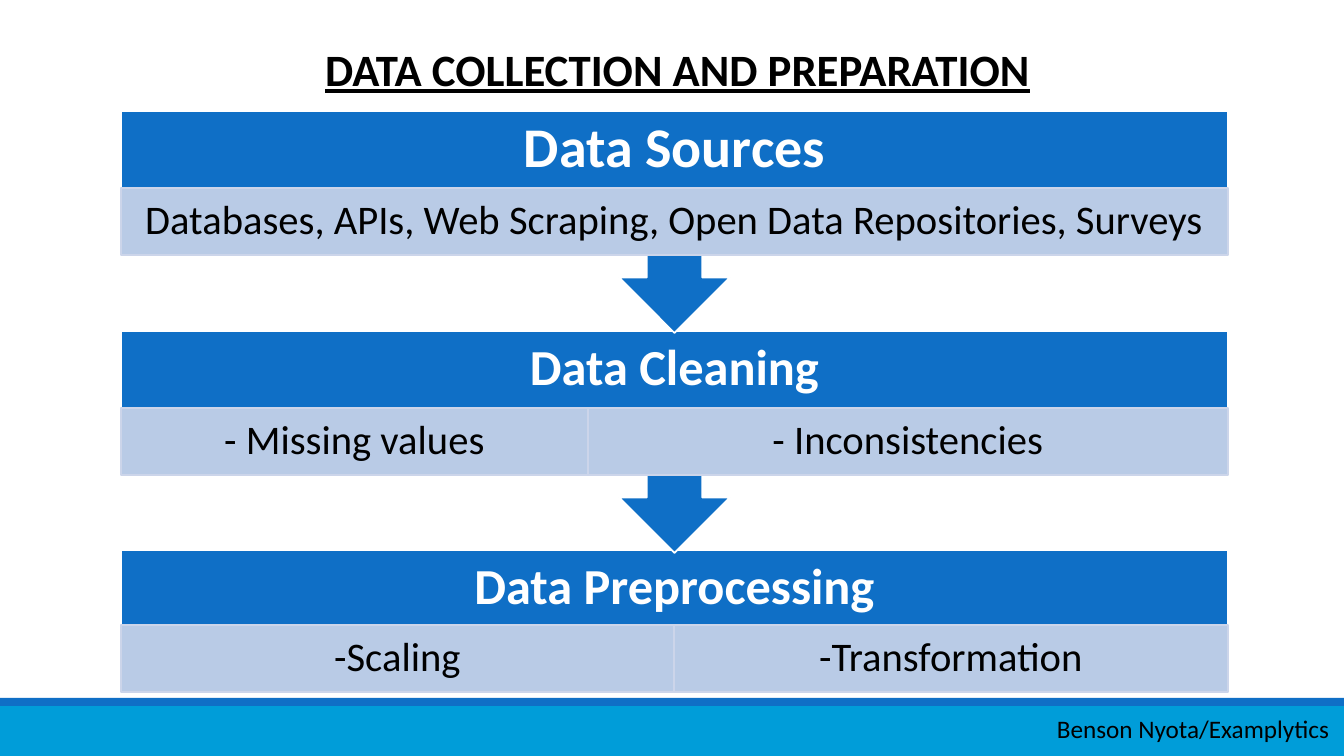
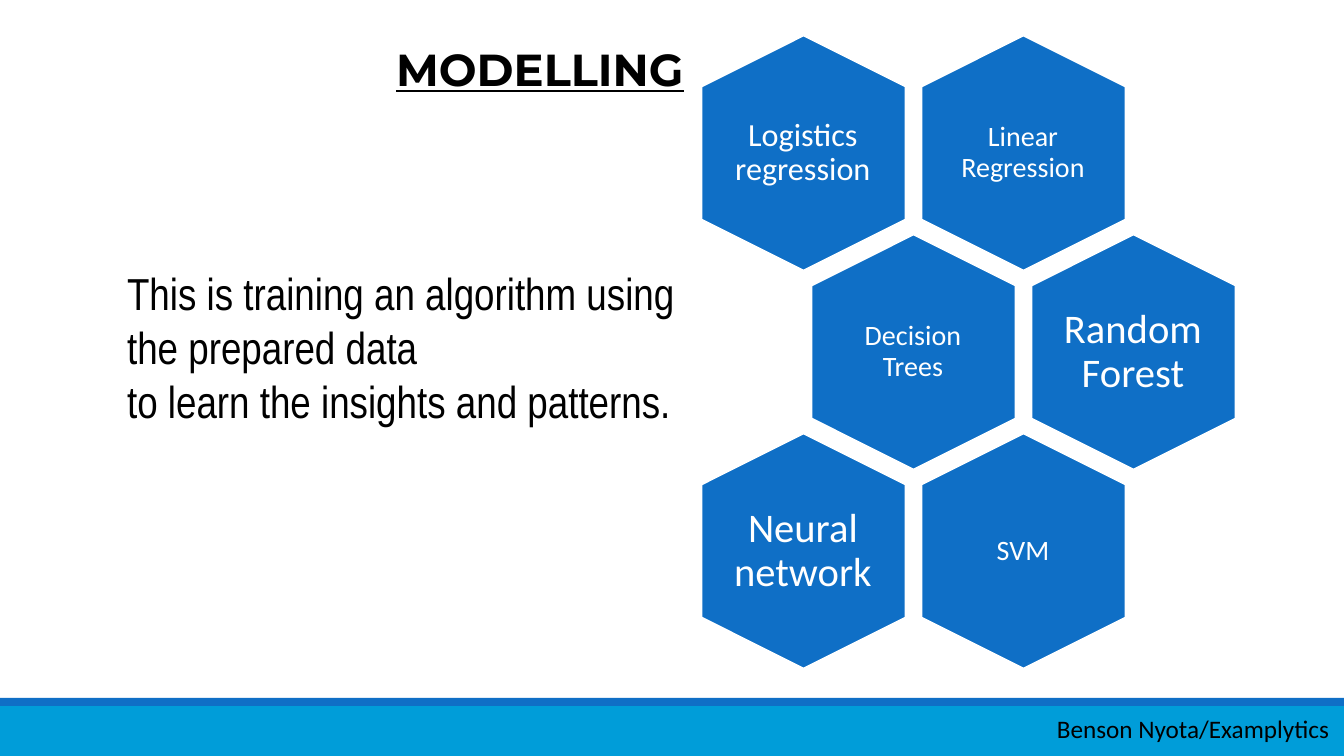
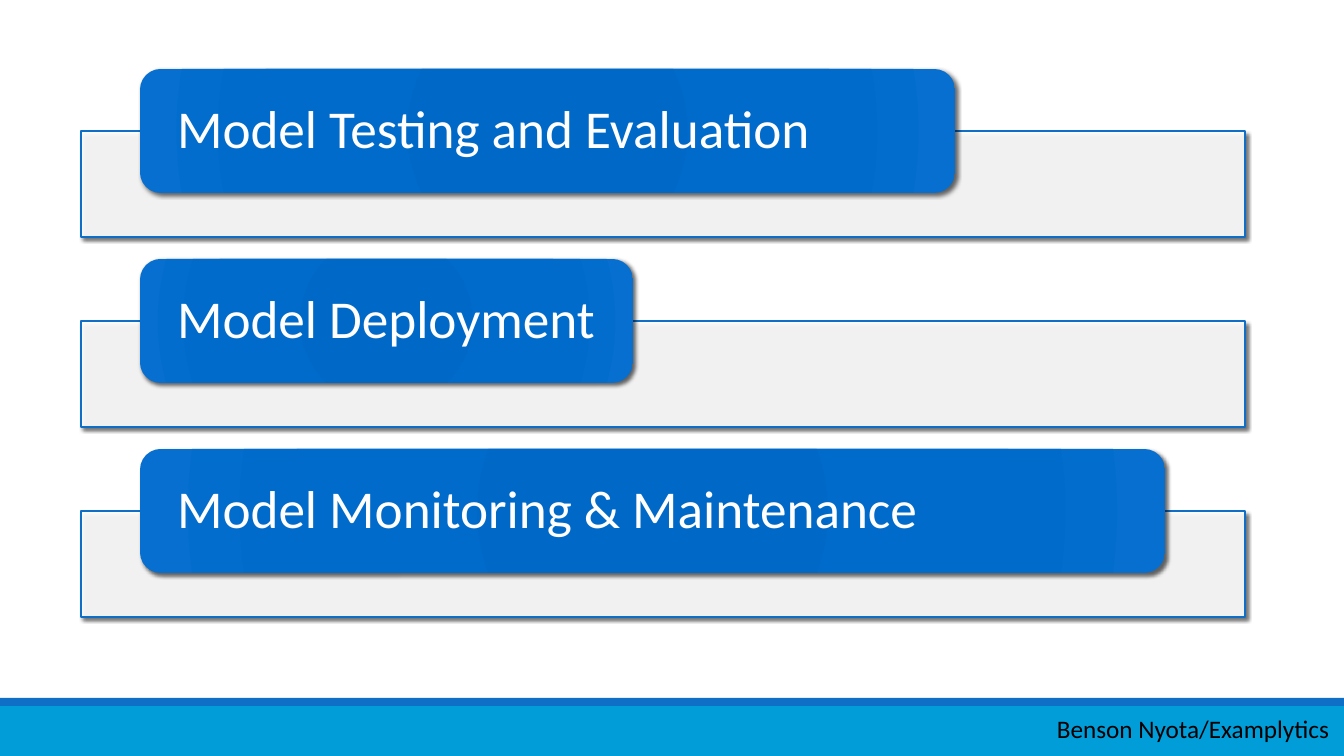
from dataclasses import dataclass

from pptx import Presentation
from pptx.dml.color import RGBColor
from pptx.enum import shapes, text
from pptx.oxml import parse_xml
from pptx.oxml.ns import nsdecls, qn
from pptx.util import Pt

PX = 9071  # EMU in one px; a slide is 1344 x 756 px
KIND = shapes.MSO_SHAPE
ALIGN = text.PP_ALIGN
ANCHOR = text.MSO_ANCHOR


@dataclass(frozen=True)
class Theme:
    blue: str = "0F6FC6"
    cyan: str = "009DD9"
    pale: str = "CCD5EA"
    white: str = "FFFFFF"
    black: str = "000000"
    pill_stops: tuple = ((0, "0068C6"), (34, "0069C8"), (70, "006BCB"), (100, "066FCF"))
    font: str = "Calibri"
    title_font: str = "Montserrat"
    body_font: str = "Arial Narrow"
    title: int = 32
    stage: int = 36
    first_stage: int = 40
    detail: int = 29
    pill: int = 38
    footer: int = 18


T = Theme()
SHADOW = (
    f'<a:outerShdw {nsdecls("a")} blurRad="38100" dist="25400" dir="2700000" rotWithShape="0">'
    '<a:srgbClr val="000000"><a:alpha val="60000"/></a:srgbClr></a:outerShdw>'
)
STOPS = "".join(
    f'<a:gs pos="{pos * 1000}"><a:srgbClr val="{color}"/></a:gs>' for pos, color in T.pill_stops
)
GRADIENT = (
    f'<a:gradFill {nsdecls("a")} rotWithShape="1"><a:gsLst>{STOPS}</a:gsLst><a:path path="circle">'
    '<a:fillToRect l="100000" t="100000" r="100000" b="100000"/></a:path></a:gradFill>'
)


def add_box(s, kind, box, fill, line=None, line_width=1.25, alpha=100, shadow=False):
    """Add a preset shape; box is left, top, width, height in px, alpha a percentage."""
    sp = s.shapes.add_shape(kind, *(v * PX for v in box))
    sp.fill.solid()
    sp.fill.fore_color.rgb = RGBColor.from_string(fill)
    if alpha < 100:
        color = sp.fill._xPr.find(qn("a:solidFill"))[0]
        color.append(parse_xml(f'<a:alpha {nsdecls("a")} val="{alpha * 1000}"/>'))
    if line:
        sp.line.color.rgb = RGBColor.from_string(line)
        sp.line.width = Pt(line_width)
    else:
        sp.line.fill.background()
    sp.shadow.inherit = False
    if shadow:
        sp.element.spPr.find(qn("a:effectLst")).append(parse_xml(SHADOW))
    return sp


def write(sp, words, size, color=T.black, font=T.font, bold=False, underline=False,
          align=ALIGN.LEFT, anchor=ANCHOR.MIDDLE, wrap=True, spacing=None, insets=None):
    """Fill a shape with text; insets are left, top, right, bottom in px."""
    tf = sp.text_frame
    tf.text = words
    tf.auto_size = text.MSO_AUTO_SIZE.NONE
    tf.word_wrap = wrap
    tf.vertical_anchor = anchor
    if insets:
        tf.margin_left, tf.margin_top, tf.margin_right, tf.margin_bottom = (v * PX for v in insets)
    for p in tf.paragraphs:
        p.alignment = align
        p.space_before = Pt(0)
        if spacing:
            p.line_spacing = spacing
        for r in p.runs:
            r.font.name, r.font.size = font, Pt(size)
            r.font.bold, r.font.underline = bold, underline
            r.font.color.rgb = RGBColor.from_string(color)


prs = Presentation()
prs.slide_width, prs.slide_height = 1344 * PX, 756 * PX
preparation, modelling, delivery = (
    prs.slides.add_slide(prs.slide_layouts[i]) for i in (5, 1, 6)
)

# Bands on the master, footer and titles
for box, color in (((0, 706, 1344, 50), T.cyan), ((0, 698, 1344, 8), T.blue)):
    band = add_box(preparation, KIND.RECTANGLE, box, color)
    prs.slide_master.shapes.element.append(band.element)

for s in prs.slides:
    footer = s.shapes.add_textbox(1047 * PX, 708 * PX, 296 * PX, 40 * PX)
    write(footer, "Benson Nyota/Examplytics", T.footer, wrap=False)

titles = (
    (preparation, "DATA COLLECTION AND PREPARATION", 315, 732, T.font),
    (modelling, "MODELLING", 386, 322, T.title_font),
)
for s, words, left, width, font in titles:
    title = s.shapes.title
    title.left, title.top, title.width, title.height = (v * PX for v in (left, 36, width, 65))
    write(title, words, T.title, font=font, bold=True, underline=True, wrap=False)

# Data preparation: stages from the bottom up, so each arrow lies over the next stage
LEFT, WIDTH, ROW = 121, 1107, 67
stages = (
    ("Data Preprocessing", T.stage, KIND.RECTANGLE, 550, 144, 75,
     (("-Scaling", 553), ("-Transformation", 554))),
    ("Data Cleaning", T.stage, KIND.DOWN_ARROW_CALLOUT, 331, 222, 77,
     (("- Missing values", 467), ("- Inconsistencies", 640))),
    ("Data Sources", T.first_stage, KIND.DOWN_ARROW_CALLOUT, 111, 222, 77,
     (("Databases, APIs, Web Scraping, Open Data Repositories, Surveys", WIDTH),)),
)
for name, size, kind, top, height, row_offset, details in stages:
    stage = add_box(preparation, kind, (LEFT, top, WIDTH, height), T.blue, T.white)
    write(stage, name, size, T.white, bold=True, align=ALIGN.CENTER, spacing=0.9,
          insets=(28, 0, 28, ROW))
    left = LEFT
    for words, width in details:
        detail = add_box(preparation, KIND.RECTANGLE, (left, top + row_offset, width, ROW),
                         T.pale, T.pale, alpha=90)
        write(detail, words, T.detail, align=ALIGN.CENTER, spacing=0.9, insets=(18, 4, 18, 4))
        left += width

# Modelling: statement and a honeycomb of algorithms, the middle row shifted half a step
body = modelling.placeholders[1]
body.left, body.top, body.width, body.height = (v * PX for v in (117, 261, 614, 173))
write(body, "This is training an algorithm using the prepared data\n"
      "to learn the insights and patterns.", T.title, font=T.body_font, anchor=ANCHOR.TOP)
for p in body.text_frame.paragraphs:
    pPr = p._p.get_or_add_pPr()
    pPr.set("marL", "0")
    pPr.set("indent", "0")
    pPr.append(parse_xml(f'<a:buNone {nsdecls("a")}/>'))

HEX_W, HEX_H, STEP_X, STEP_Y = 235, 204, 220, 199
algorithms = (
    (("Logistics regression", 23), ("Linear Regression", 20)),
    (("Decision Trees", 20), ("Random Forest", 29)),
    (("Neural network", 29), ("SVM", 20)),
)
for row, pair in enumerate(algorithms):
    for col, (name, size) in enumerate(pair):
        x = 803 + col * STEP_X + row % 2 * STEP_X // 2
        y = 153 + row * STEP_Y
        hexagon = add_box(modelling, KIND.HEXAGON,
                          (x - HEX_W // 2, y - HEX_H // 2, HEX_W, HEX_H), T.blue, T.white)
        hexagon.rotation = 90
        label = modelling.shapes.add_textbox((x - 70) * PX, (y - 80) * PX, 140 * PX, 160 * PX)
        write(label, name, size, T.white, align=ALIGN.CENTER, spacing=0.9, insets=(0, 0, 0, 0))

# Delivery: one pill over one bar for each step
steps = (
    ("Model Testing and Evaluation", 815),
    ("Model Deployment", 493),
    ("Model Monitoring & Maintenance", 1025),
)
for i, (name, width) in enumerate(steps):
    top = 69 + i * 190
    add_box(delivery, KIND.RECTANGLE, (81, top + 62, 1164, 106), T.white, T.blue,
            line_width=1, alpha=90, shadow=True)
    pill = add_box(delivery, KIND.ROUNDED_RECTANGLE, (140, top, width, 124), T.blue, shadow=True)
    spPr = pill.element.spPr
    spPr.replace(spPr.find(qn("a:solidFill")), parse_xml(GRADIENT))
    write(pill, name, T.pill, T.white, spacing=0.9, insets=(31, 0, 31, 0))

prs.save("out.pptx")
